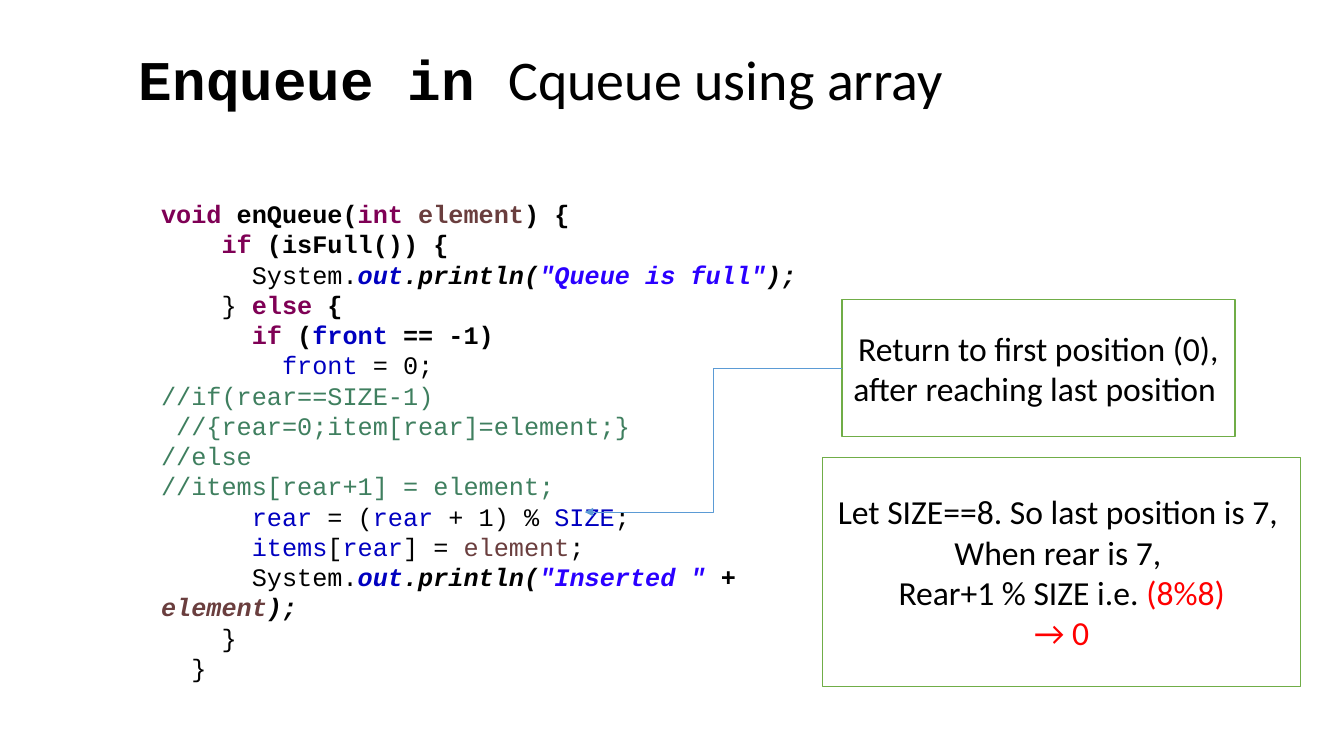
"""Build a slide explaining enqueue in an array-based circular queue."""
import pptx
import pptx.dml.color
import pptx.enum.shapes
import pptx.enum.text
import pptx.oxml
import pptx.oxml.ns
import pptx.util

PX = 9144
CHAR = 15
COLORS = {
    "black": "000000", "white": "FFFFFF", "red": "FF0000",
    "keyword": "7F0055", "param": "6A3E3E", "field": "0000C0",
    "string": "2A00FF", "comment": "3F7F5F",
    "border": "70AD47", "arrow": "5B9BD5",
}


def rgb(name):
    return pptx.dml.color.RGBColor.from_string(COLORS[name])


def write(p, text, color="black", size=18, font="Courier New", style=""):
    r = p.add_run()
    r.text = text
    r.font.name = font
    r.font.size = pptx.util.Pt(size)
    r.font.bold = "b" in style
    r.font.italic = "i" in style
    r.font.color.rgb = rgb(color)


prs = pptx.Presentation()
prs.slide_width, prs.slide_height = 1333 * PX, 750 * PX
s = prs.slides.add_slide(prs.slide_layouts[6])

code = [
    (0, [("void ", "keyword", "b"), ("enQueue(", "black", "b"), ("int ", "keyword", "b"),
         ("element", "param", "b"), (") {", "black", "b")]),
    (4, [("if", "keyword", "b"), (" (isFull()) {", "black", "b")]),
    (6, [("System.", "black", ""), ("out", "field", "bi"), (".println(", "black", "bi"),
         ('"Queue is full"', "string", "bi"), (");", "black", "bi")]),
    (4, [("} ", "black", ""), ("else", "keyword", "b"), (" {", "black", "b")]),
    (6, [("if", "keyword", "b"), (" (", "black", "b"), ("front", "field", "b"),
         (" == -1)", "black", "b")]),
    (8, [("front", "field", ""), (" = 0;", "black", "")]),
    (0, [("//if(rear==SIZE-1)", "comment", "")]),
    (1, [("//{rear=0;item[rear]=element;}", "comment", "")]),
    (0, [("//else", "comment", "")]),
    (0, [("//items[rear+1] = element;", "comment", "")]),
    (6, [("rear", "field", ""), (" = (", "black", ""), ("rear", "field", ""),
         (" + 1) % ", "black", ""), ("SIZE", "field", ""), (";", "black", "")]),
    (6, [("items", "field", ""), ("[", "black", ""), ("rear", "field", ""),
         ("] = ", "black", ""), ("element", "param", ""), (";", "black", "")]),
    (6, [("System.", "black", ""), ("out", "field", "bi"), (".println(", "black", "bi"),
         ('"Inserted "', "string", "bi"), (" + ", "black", "bi"),
         ("element", "param", "bi"), (");", "black", "bi")]),
    (4, [("}", "black", "")]),
    (2, [("}", "black", "")]),
]
sp = s.shapes.add_textbox(150 * PX, 192 * PX, 667 * PX, 495 * PX)
tf = sp.text_frame
tf.word_wrap = True
tf.auto_size = pptx.enum.text.MSO_AUTO_SIZE.SHAPE_TO_FIT_TEXT
for i, (indent, tokens) in enumerate(code):
    p = tf.add_paragraph() if i else tf.paragraphs[0]
    pPr = p._p.get_or_add_pPr()
    pPr.set("marL", "0")
    pPr.set("indent", str(indent * CHAR * PX))
    for text, color, style in tokens:
        write(p, text, color=color, style=style)

sp = s.shapes.add_textbox(128 * PX, 39 * PX, 862 * PX, 77 * PX)
tf = sp.text_frame
tf.word_wrap = True
tf.auto_size = pptx.enum.text.MSO_AUTO_SIZE.SHAPE_TO_FIT_TEXT
p = tf.paragraphs[0]
write(p, "Enqueue in ", size=40, style="b")
write(p, "Cqueue using array", size=40, font="Calibri")

notes = [
    ((835, 297, 390, 136), [
        [("Return to first position (0), after reaching last position ", "black")],
    ]),
    ((816, 454, 474, 227), [
        [("Let SIZE==8. So last position is 7, ", "black")],
        [("When rear is 7, ", "black")],
        [("Rear+1 % SIZE i.e. ", "black"), ("(8%8)", "red")],
        [("→ 0", "red")],
    ]),
]
boxes = []
for place, lines in notes:
    sp = s.shapes.add_shape(pptx.enum.shapes.MSO_SHAPE.RECTANGLE, *(v * PX for v in place))
    sp.shadow.inherit = False
    sp.fill.solid()
    sp.fill.fore_color.rgb = rgb("white")
    sp.line.color.rgb = rgb("border")
    sp.line.width = pptx.util.Pt(1)
    tf = sp.text_frame
    tf.word_wrap = True
    tf.vertical_anchor = pptx.enum.text.MSO_ANCHOR.MIDDLE
    for i, runs in enumerate(lines):
        p = tf.add_paragraph() if i else tf.paragraphs[0]
        p.alignment = pptx.enum.text.PP_ALIGN.CENTER
        for text, color in runs:
            write(p, text, color=color, size=24, font="Calibri")
    boxes.append(sp)

arrow = s.shapes.add_connector(
    pptx.enum.shapes.MSO_CONNECTOR.ELBOW, 835 * PX, 365 * PX, 580 * PX, 508 * PX)
arrow.begin_connect(boxes[0], 1)
arrow.line.color.rgb = rgb("arrow")
arrow.line.width = pptx.util.Pt(0.5)
ln = arrow.line._get_or_add_ln()
ln.append(pptx.oxml.parse_xml(
    f'<a:tailEnd {pptx.oxml.ns.nsdecls("a")} type="triangle"/>'))
arrow._element.spPr.append(pptx.oxml.parse_xml(
    f'<a:effectLst {pptx.oxml.ns.nsdecls("a")}/>'))

prs.save("out.pptx")
